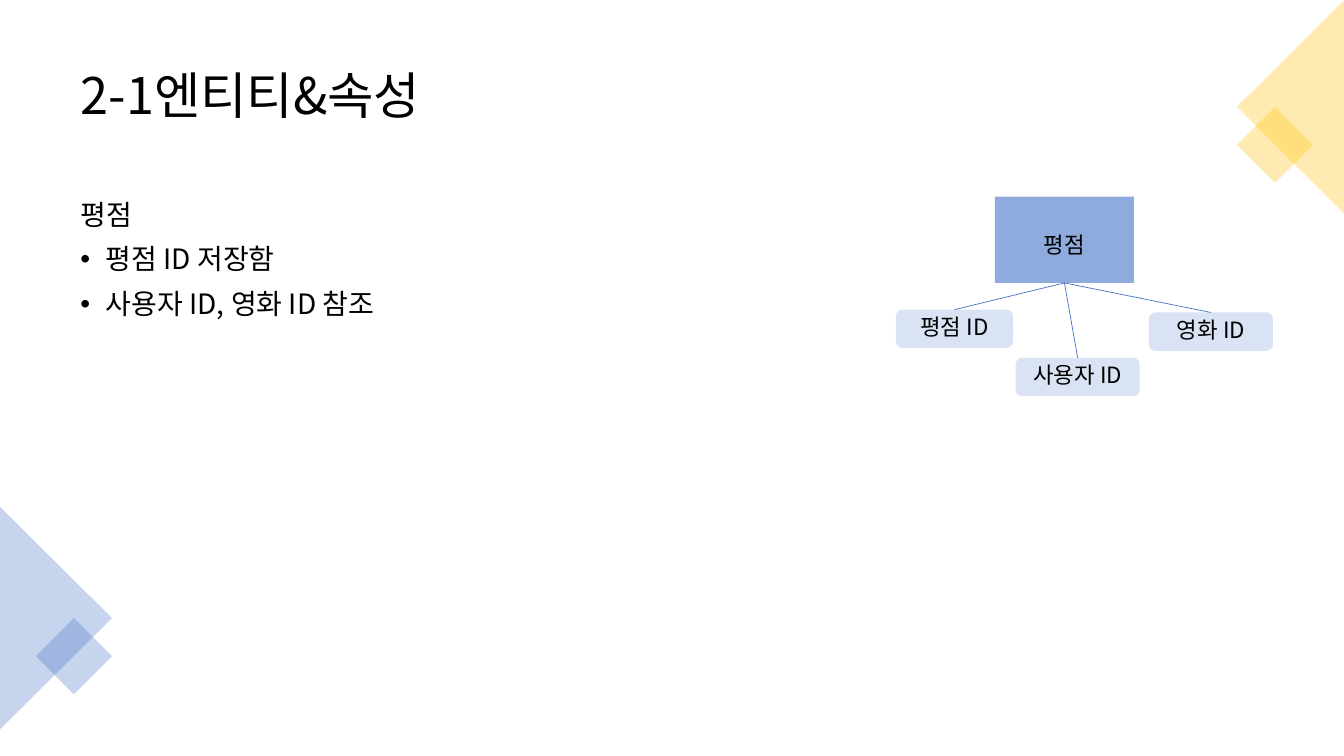
from dataclasses import dataclass
from math import sqrt

from lxml import etree
from pptx import Presentation
from pptx.dml.color import RGBColor
from pptx.enum.shapes import MSO_CONNECTOR, MSO_SHAPE
from pptx.enum.text import MSO_ANCHOR, MSO_AUTO_SIZE, PP_ALIGN
from pptx.oxml.ns import qn
from pptx.util import Pt

RECT, ROUNDED = MSO_SHAPE.RECTANGLE, MSO_SHAPE.ROUNDED_RECTANGLE
TRIANGLE = MSO_SHAPE.ISOSCELES_TRIANGLE
STRAIGHT = MSO_CONNECTOR.STRAIGHT
TOP, MIDDLE = MSO_ANCHOR.TOP, MSO_ANCHOR.MIDDLE
LEFT, CENTER = PP_ALIGN.LEFT, PP_ALIGN.CENTER
NO_FIT = MSO_AUTO_SIZE.NONE
TOP_SITE, BOTTOM_SITE = 0, 2


@dataclass(frozen=True)
class Theme:
    font: str = "Noto Sans CJK KR"
    title: int = 36
    body: int = 20
    label: int = 16
    text: str = "000000"
    blue: str = "4472C4"
    gold: str = "FFC000"
    entity: str = "8FAADC"
    attribute: str = "DAE3F3"
    corner_alpha: int = 30


THEME = Theme()


def add_run(p, text, size):
    p.line_spacing = 0.9
    r = p.add_run()
    r.text = text
    r.font.size = Pt(size)
    r.font.name = THEME.font
    r.font.color.rgb = RGBColor.from_string(THEME.text)
    ea = etree.SubElement(r.font._element, qn("a:ea"))
    ea.set("typeface", THEME.font)


def add_filled(shapes, kind, box, color, alpha=100):
    sp = shapes.add_shape(kind, *map(Pt, box))
    sp.shadow.inherit = False
    sp.line.fill.background()
    sp.fill.solid()
    sp.fill.fore_color.rgb = RGBColor.from_string(color)
    if alpha < 100:
        clr = sp._element.spPr.find(f".//{qn('a:srgbClr')}")
        etree.SubElement(clr, qn("a:alpha")).set("val", str(alpha * 1000))
    return sp


def add_corner(slide, box, color, points_right):
    """A triangle on the slide edge, with a diamond under its apex."""
    x, y, w, h = box
    side = 38.5
    diagonal = side * sqrt(2)
    shapes = slide.shapes.add_group_shape().shapes
    # The triangle is turned a quarter, so its frame is h wide and w high.
    frame = (x + (w - h) / 2, y + (h - w) / 2, h, w)
    triangle = add_filled(shapes, TRIANGLE, frame, color, THEME.corner_alpha)
    triangle.rotation = 90 if points_right else 270
    cx = x + w - diagonal / 2 if points_right else x + diagonal / 2
    cy = y + h / 2 + diagonal / 2
    frame = (cx - side / 2, cy - side / 2, side, side)
    add_filled(shapes, RECT, frame, color, THEME.corner_alpha).rotation = 45


def add_title(slide, box, text):
    sp = slide.shapes.title
    sp.left, sp.top, sp.width, sp.height = map(Pt, box)
    tf = sp.text_frame
    tf.auto_size = NO_FIT
    tf.vertical_anchor = MIDDLE
    p = tf.paragraphs[0]
    p.alignment = LEFT
    add_run(p, text, THEME.title)


def add_description(slide, box, heading, bullets):
    tf = slide.shapes.add_textbox(*map(Pt, box)).text_frame
    tf.word_wrap = True
    for i, text in enumerate([heading, *bullets]):
        p = tf.add_paragraph() if i else tf.paragraphs[0]
        p.space_before = Pt(10)
        add_run(p, text, THEME.body)
        if i:
            pPr = p._p.get_or_add_pPr()
            pPr.set("marL", str(Pt(18)))
            pPr.set("indent", str(Pt(-18)))
            etree.SubElement(pPr, qn("a:buFont")).set("typeface", "Arial")
            etree.SubElement(pPr, qn("a:buChar")).set("char", "•")


def add_label(shapes, kind, box, color, text, margin_top=3.6):
    sp = add_filled(shapes, kind, box, color)
    tf = sp.text_frame
    tf.word_wrap = True
    tf.vertical_anchor = TOP
    tf.margin_top = Pt(margin_top)
    p = tf.paragraphs[0]
    p.alignment = CENTER
    p.space_after = Pt(6)
    add_run(p, text, THEME.label)
    return sp


def add_entity_diagram(slide, box, name, attributes):
    """An entity joined to its attributes, given as (text, dx, dy, width)."""
    x, y, _, _ = box
    shapes = slide.shapes.add_group_shape().shapes
    entity = add_label(shapes, RECT, (x + 70.7, y, 99.3, 61.7), THEME.entity,
                       name, margin_top=27)
    for text, dx, dy, width in attributes:
        attribute = add_label(shapes, ROUNDED, (x + dx, y + dy, width, 27.4),
                              THEME.attribute, text)
        line = shapes.add_connector(STRAIGHT, 0, 0, 0, 0)
        line.begin_connect(attribute, TOP_SITE)
        line.end_connect(entity, BOTTOM_SITE)
        line.line.width = Pt(0.5)
        line.line.color.rgb = RGBColor.from_string(THEME.blue)
        etree.SubElement(line._element.spPr, qn("a:effectLst"))


def add_entity_slide(prs):
    slide = prs.slides.add_slide(prs.slide_layouts[5])
    for ph in list(slide.placeholders):
        if ph != slide.shapes.title:
            ph._element.getparent().remove(ph._element)
    add_corner(slide, (883.5, 0, 76.5, 152.6), THEME.gold, points_right=False)
    add_title(slide, (50.4, 25.2, 859, 89.3), "2-1엔티티&속성")
    add_description(slide, (50.4, 140.4, 538.6, 346.3), "평점",
                    ["평점 ID 저장함", "사용자 ID, 영화 ID 참조"])
    add_corner(slide, (0, 362, 80, 159), THEME.blue, points_right=True)
    add_entity_diagram(slide, (640, 140.4, 269.3, 142.6), "평점", [
        ("사용자 ID", 85.5, 115.2, 88.6),
        ("영화 ID", 180.7, 82.8, 88.6),
        ("평점 ID", 0, 80.8, 83.6),
    ])


def main():
    prs = Presentation()
    prs.slide_width, prs.slide_height = Pt(960), Pt(540)
    add_entity_slide(prs)
    prs.save("out.pptx")


if __name__ == "__main__":
    main()
